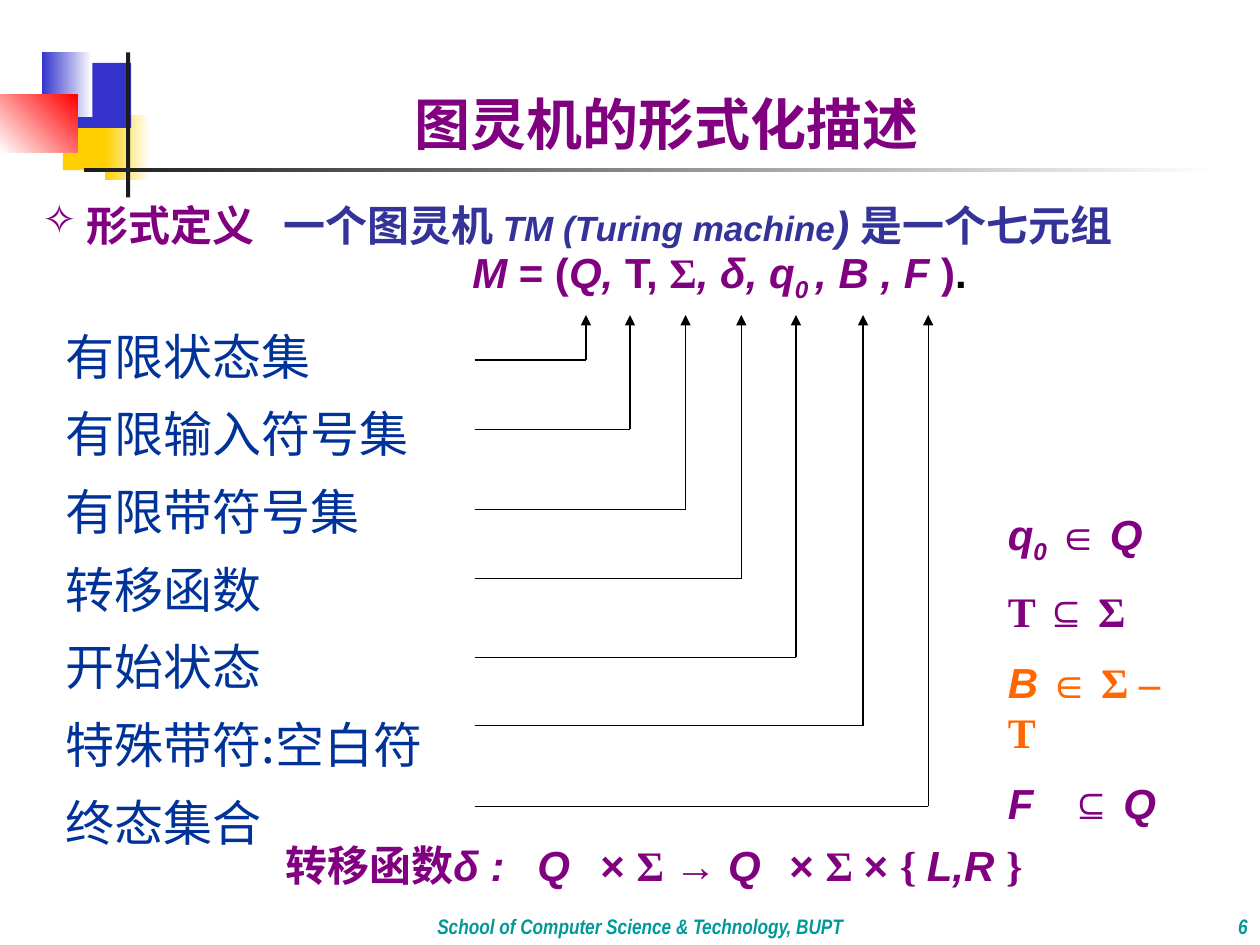
from lxml.etree import SubElement
from pptx import Presentation
from pptx.dml.color import RGBColor
from pptx.enum.shapes import MSO_CONNECTOR, MSO_SHAPE
from pptx.enum.text import MSO_ANCHOR, PP_ALIGN
from pptx.oxml.ns import qn
from pptx.util import Inches, Pt

COLORS = {
    "gold": "FFCF01", "blue": "3333CC", "red": "FF0000", "white": "FFFFFF",
    "ink": "1C1C1C", "black": "000000", "teal": "009999", "purple": "800080",
    "navy": "003399", "indigo": "333399", "orange": "FF6600",
}
SERIF, SANS, NARROW, CHINESE = "Times New Roman", "Arial", "Arial Narrow", "Noto Sans CJK SC"
COLUMNS, ROWS = 120, 90


def add_run(paragraph, text, size=24, font=SANS, color="purple", bold=True, italic=False, base=0):
    run = paragraph.add_run()
    run.text = text
    run.font.size = Pt(size)
    run.font.name = font
    run.font.bold = bold
    run.font.italic = italic
    run.font.color.rgb = RGBColor.from_string(COLORS[color])
    properties = run.font._element
    SubElement(properties, qn("a:ea")).set("typeface", CHINESE)
    if base:
        properties.set("baseline", str(base * 1000))


class SlideBuilder:
    """Holds the grid and the current slide and adds elements to it."""

    def __init__(self, presentation):
        self.column = presentation.slide_width / COLUMNS
        self.row = presentation.slide_height / ROWS
        self.slide = presentation.slides.add_slide(presentation.slide_layouts[6])

    def place(self, left, top, width, height):
        return (round(left * self.column), round(top * self.row),
                round(width * self.column), round(height * self.row))

    def block(self, area, *colors, angle=0):
        shape = self.slide.shapes.add_shape(MSO_SHAPE.RECTANGLE, *self.place(*area))
        shape.shadow.inherit = False
        shape.line.fill.background()
        if len(colors) == 1:
            shape.fill.solid()
            shape.fill.fore_color.rgb = RGBColor.from_string(COLORS[colors[0]])
            return
        shape.fill.gradient()
        shape.fill.gradient_angle = angle
        for position, (stop, color) in enumerate(zip(shape.fill.gradient_stops, colors)):
            stop.position = position
            stop.color.rgb = RGBColor.from_string(COLORS[color])

    def text(self, area, paragraphs, anchor=MSO_ANCHOR.TOP, align=PP_ALIGN.LEFT, spacing=1.0, gap=0):
        frame = self.slide.shapes.add_textbox(*self.place(*area)).text_frame
        frame.word_wrap = True
        frame.vertical_anchor = anchor
        for index, (runs, layout) in enumerate(paragraphs):
            paragraph = frame.paragraphs[0] if index == 0 else frame.add_paragraph()
            paragraph.alignment = align
            paragraph.line_spacing = spacing
            if index and gap:
                paragraph.space_before = Pt(gap)
            self.layout(paragraph, **layout)
            for text, style in runs:
                add_run(paragraph, text, **style)

    def layout(self, paragraph, bullet=None, indent=0, tabs=()):
        properties = paragraph._p.get_or_add_pPr()
        properties.set("marL", str(round(indent * self.column)))
        properties.set("indent", "0")
        if bullet:
            SubElement(properties, qn("a:buClr")).append(
                properties.makeelement(qn("a:srgbClr"), {"val": COLORS["purple"]}))
            SubElement(properties, qn("a:buChar")).set("char", bullet)
        if tabs:
            tab_list = SubElement(properties, qn("a:tabLst"))
            for tab in tabs:
                stop = SubElement(tab_list, qn("a:tab"))
                stop.set("pos", str(round(tab * self.column)))
                stop.set("algn", "l")

    def line(self, start, end, arrow=False):
        left, top, right, bottom = self.place(*start, *end)
        connector = self.slide.shapes.add_connector(MSO_CONNECTOR.STRAIGHT, left, top, right, bottom)
        connector.line.width = Pt(0.75)
        connector.line.color.rgb = RGBColor.from_string(COLORS["black"])
        if arrow:
            SubElement(connector.line._get_or_add_ln(), qn("a:tailEnd")).set("type", "triangle")
        SubElement(connector._element.spPr, qn("a:effectLst"))


def main():
    presentation = Presentation()
    presentation.slide_width, presentation.slide_height = Inches(10), Inches(7.5)
    builder = SlideBuilder(presentation)
    italic, serif = {"italic": True}, {"font": SERIF}
    subscript = {"italic": True, "base": -25}

    builder.block((6, 10, 5.8, 6.2), "gold")
    builder.block((10, 11, 4.3, 6.2), "gold", "white")
    builder.block((7, 6, 5.5, 6.2), "blue")
    builder.block((4, 5, 4.8, 6.2), "blue", "white")
    builder.block((0, 9, 7.4, 5.5), "white", "red", angle=45)
    builder.block((12, 5, 0.4, 13.8), "ink")
    builder.block((8, 16, 108, 0.4), "ink", "white")

    footer = {"size": 12, "font": NARROW, "color": "teal", "italic": True}
    builder.text((100, 84, 20, 6), [([("6", footer)], {})], MSO_ANCHOR.BOTTOM, PP_ALIGN.RIGHT)
    builder.text((19, 84, 84, 6), [([("School of Computer Science & Technology, BUPT", footer)], {})],
                 MSO_ANCHOR.BOTTOM, PP_ALIGN.CENTER, 1.1)
    builder.text((11, 7.5, 105, 8), [([("图灵机的形式化描述", {"size": 32})], {})],
                 MSO_ANCHOR.BOTTOM, PP_ALIGN.CENTER, Pt(34))

    indigo = {"color": "indigo"}
    definition = [
        (" 形式定义\t", serif), ("一个图灵机 ", {**serif, **indigo}),
        ("TM (Turing machine", {"size": 20, **italic, **indigo}),
        (") ", {**italic, **indigo}), ("是一个七元组", indigo),
    ]
    formula = [
        ("M", italic), (" = (", {}), ("Q,", italic), (" T, ", {}), ("Σ", serif),
        (", δ, q", italic), ("0 ", subscript), (", B , F ", italic), (")", {}),
        (".", {"color": "black"}),
    ]
    builder.text((2.8, 18, 113, 11), [(definition, {"bullet": "✧", "tabs": [23]}),
                                      (formula, {"indent": 41})], spacing=Pt(31))

    names = ["有限状态集", "有限输入符号集", "有限带符号集", "转移函数", "开始状态", "特殊带符:空白符", "终态集合"]
    name_style = {"size": 28, "font": CHINESE, "color": "navy", "bold": False}
    builder.text((5.1, 30, 43.3, 51.2), [([(name, name_style)], {}) for name in names],
                 spacing=Pt(36.5), gap=7.85)

    elbows = [(55.8, 34.3), (60, 40.9), (65.3, 48.5), (70.6, 55.1),
              (75.8, 62.6), (82.2, 69.1), (88.4, 76.8)]
    for column, row in elbows:
        builder.line((45.2, row), (column, row))
        builder.line((column, row), (column, 30), arrow=True)

    orange = {"color": "orange"}
    conditions = [
        ([("q", italic), ("0", subscript), (" ∈ ", serif), ("Q", italic)], {}),
        ([("T ⊆ Σ", serif)], {}),
        ([("B", {**italic, **orange}), (" ∈ Σ – T", {**serif, **orange})], {}),
        ([("F", italic), ("\t⊆ ", serif), ("Q", italic)], {"tabs": [5.2]}),
    ]
    builder.text((94.8, 47.8, 20, 26.4), conditions, gap=11.5)

    transition = [
        ("转移函数", serif), ("δ :\tQ\t", italic), ("× ", {}), ("Σ ", serif), ("→ ", {}),
        ("Q\t", italic), ("× ", {}), ("Σ ", serif), ("× ", {}), ("{ ", serif),
        ("L,R ", italic), ("}", serif),
    ]
    builder.text((26, 79, 90.8, 6), [(transition, {"tabs": [24, 29.3, 46.8]})], spacing=Pt(31))

    presentation.save("out.pptx")


if __name__ == "__main__":
    main()
